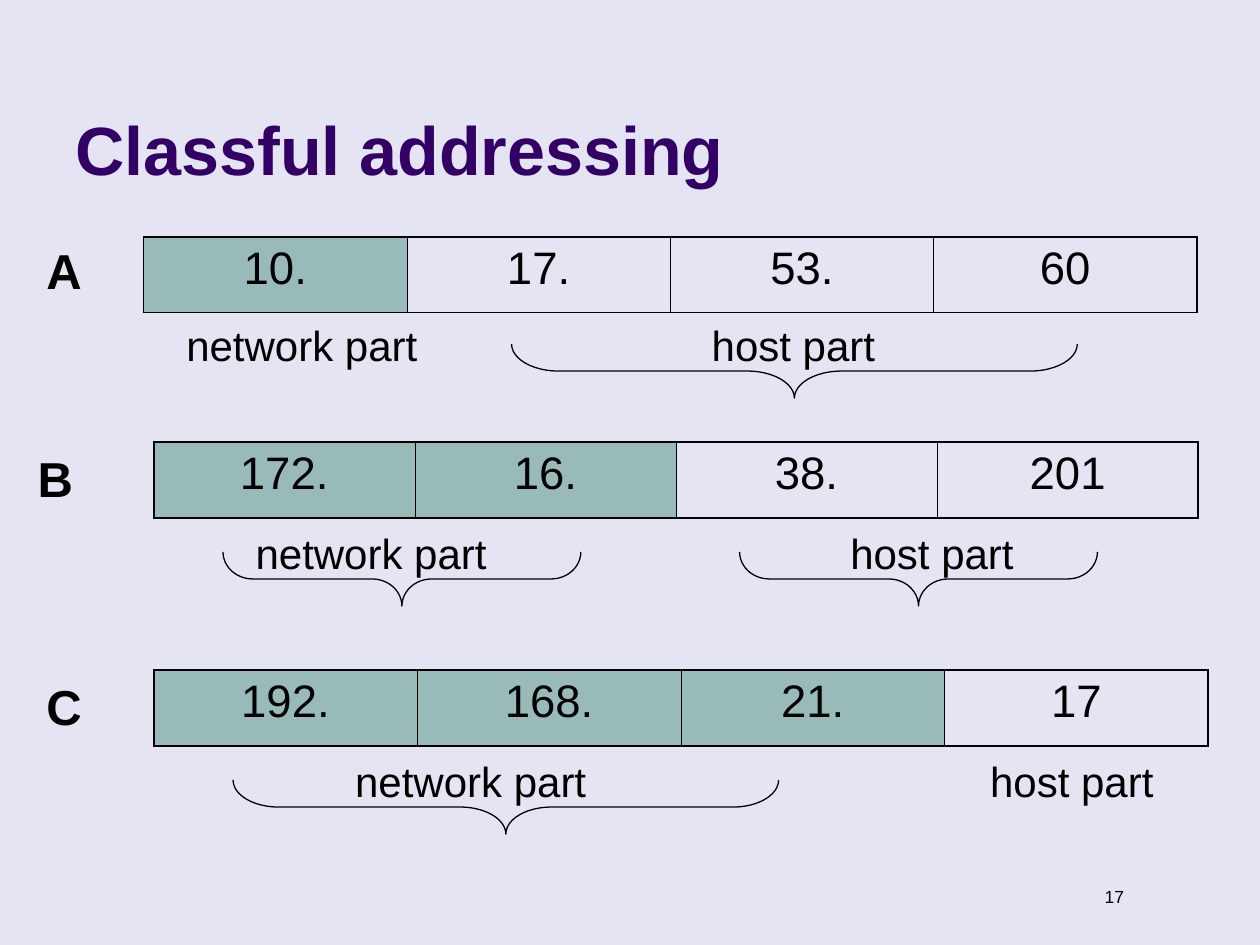
from lxml.etree import SubElement
from pptx import Presentation
from pptx.dml.color import RGBColor
from pptx.enum.shapes import MSO_SHAPE
from pptx.enum.text import MSO_ANCHOR, PP_ALIGN
from pptx.oxml.ns import qn
from pptx.util import Inches, Pt

COLORS = {
    "background": "E4E4F2",
    "title": "330066",
    "text": "000000",
    "line": "000000",
    "network": "98BBBA",
}
FONT = "Arial"
OCTETS = 4
ROW_HEIGHT = 0.6
LABEL_HEIGHT = 0.5
BRACE_DEPTH = 0.43
THICK, THIN = 1.08, 0.45

# Braces are given as (left, length); a part of one octet needs none.
ADDRESS_CLASSES = [
    {"name": "A", "name_box": (0.27, 1.86, 0.63), "table": (1.14, 1.88, 8.36),
     "octets": ["10.", "17.", "53.", "60"], "network_octets": 1,
     "label_top": 2.49, "network_left": 1.38, "host_left": 5.55,
     "brace_top": 2.73, "braces": [(4.06, 4.49)]},
    {"name": "B", "name_box": (0.2, 3.51, 0.71), "table": (1.22, 3.51, 8.29),
     "octets": ["172.", "16.", "38.", "201"], "network_octets": 2,
     "label_top": 4.14, "network_left": 1.93, "host_left": 6.65,
     "brace_top": 4.38, "braces": [(1.77, 2.84), (5.87, 2.84)]},
    {"name": "C", "name_box": (0.27, 5.32, 0.71), "table": (1.22, 5.32, 8.37),
     "octets": ["192.", "168.", "21.", "17"], "network_octets": 3,
     "label_top": 5.95, "network_left": 2.72, "host_left": 7.76,
     "brace_top": 6.19, "braces": [(1.85, 4.33)]},
]


def rgb(name):
    return RGBColor.from_string(COLORS[name])


def write_run(paragraph, text, size, color="text", bold=False):
    run = paragraph.add_run()
    run.text = text
    run.font.name = FONT
    run.font.size = Pt(size)
    run.font.bold = bold
    run.font.color.rgb = rgb(color)


def add_text(slide, text, left, top, width, height, size, color="text",
             bold=False, align=PP_ALIGN.LEFT, anchor=MSO_ANCHOR.TOP):
    box = slide.shapes.add_textbox(
        Inches(left), Inches(top), Inches(width), Inches(height))
    frame = box.text_frame
    frame.word_wrap = True
    frame.vertical_anchor = anchor
    paragraph = frame.paragraphs[0]
    paragraph.alignment = align
    write_run(paragraph, text, size, color, bold)


def set_border(cell, side, width):
    properties = cell._tc.get_or_add_tcPr()
    line = SubElement(properties, qn(f"a:ln{side}"), w=str(int(Pt(width))))
    fill = SubElement(line, qn("a:solidFill"))
    SubElement(fill, qn("a:srgbClr"), val=COLORS["line"])


def add_octet_table(slide, octets, network_octets, left, top, width):
    table = slide.shapes.add_table(
        1, OCTETS, Inches(left), Inches(top), Inches(width),
        Inches(ROW_HEIGHT)).table
    table.first_row = False
    table.horz_banding = False
    for index, octet in enumerate(octets):
        table.columns[index].width = Inches(width / OCTETS)
        cell = table.cell(0, index)
        set_border(cell, "L", THICK if index == 0 else THIN)
        set_border(cell, "R", THICK if index == OCTETS - 1 else THIN)
        set_border(cell, "T", THICK)
        set_border(cell, "B", THICK)
        if index < network_octets:
            cell.fill.solid()
            cell.fill.fore_color.rgb = rgb("network")
        else:
            cell.fill.background()
        paragraph = cell.text_frame.paragraphs[0]
        paragraph.alignment = PP_ALIGN.CENTER
        write_run(paragraph, octet, 26)


def add_brace(slide, left, top, length):
    """Add a brace that lies flat and points down."""
    center_x = left + length / 2
    center_y = top + BRACE_DEPTH / 2
    brace = slide.shapes.add_shape(
        MSO_SHAPE.LEFT_BRACE,
        Inches(center_x - BRACE_DEPTH / 2), Inches(center_y - length / 2),
        Inches(BRACE_DEPTH), Inches(length))
    brace.rotation = 270
    brace.adjustments[0] = length / 12 / BRACE_DEPTH
    brace.shadow.inherit = False
    brace.fill.background()
    brace.line.color.rgb = rgb("line")
    brace.line.width = Pt(0.75)


def add_address_class(slide, item):
    add_octet_table(
        slide, item["octets"], item["network_octets"], *item["table"])
    add_text(slide, "network part", item["network_left"], item["label_top"],
             2.68, LABEL_HEIGHT, 24)
    add_text(slide, "host part", item["host_left"], item["label_top"],
             1.65, LABEL_HEIGHT, 24)
    for left, length in item["braces"]:
        add_brace(slide, left, item["brace_top"], length)
    add_text(slide, item["name"], *item["name_box"], 0.57, 28, bold=True)


def main():
    presentation = Presentation()
    presentation.slide_width = Inches(10)
    presentation.slide_height = Inches(7.5)
    slide = presentation.slides.add_slide(presentation.slide_layouts[6])
    slide.background.fill.solid()
    slide.background.fill.fore_color.rgb = rgb("background")

    add_text(slide, "17", 8.39, 6.98, 0.63, 0.27, 10, align=PP_ALIGN.RIGHT)
    add_text(slide, "Classful addressing", 0.5, 0.13, 8.25, 1.42, 39,
             color="title", bold=True, anchor=MSO_ANCHOR.BOTTOM)
    for item in ADDRESS_CLASSES:
        add_address_class(slide, item)
    presentation.save("out.pptx")


if __name__ == "__main__":
    main()
